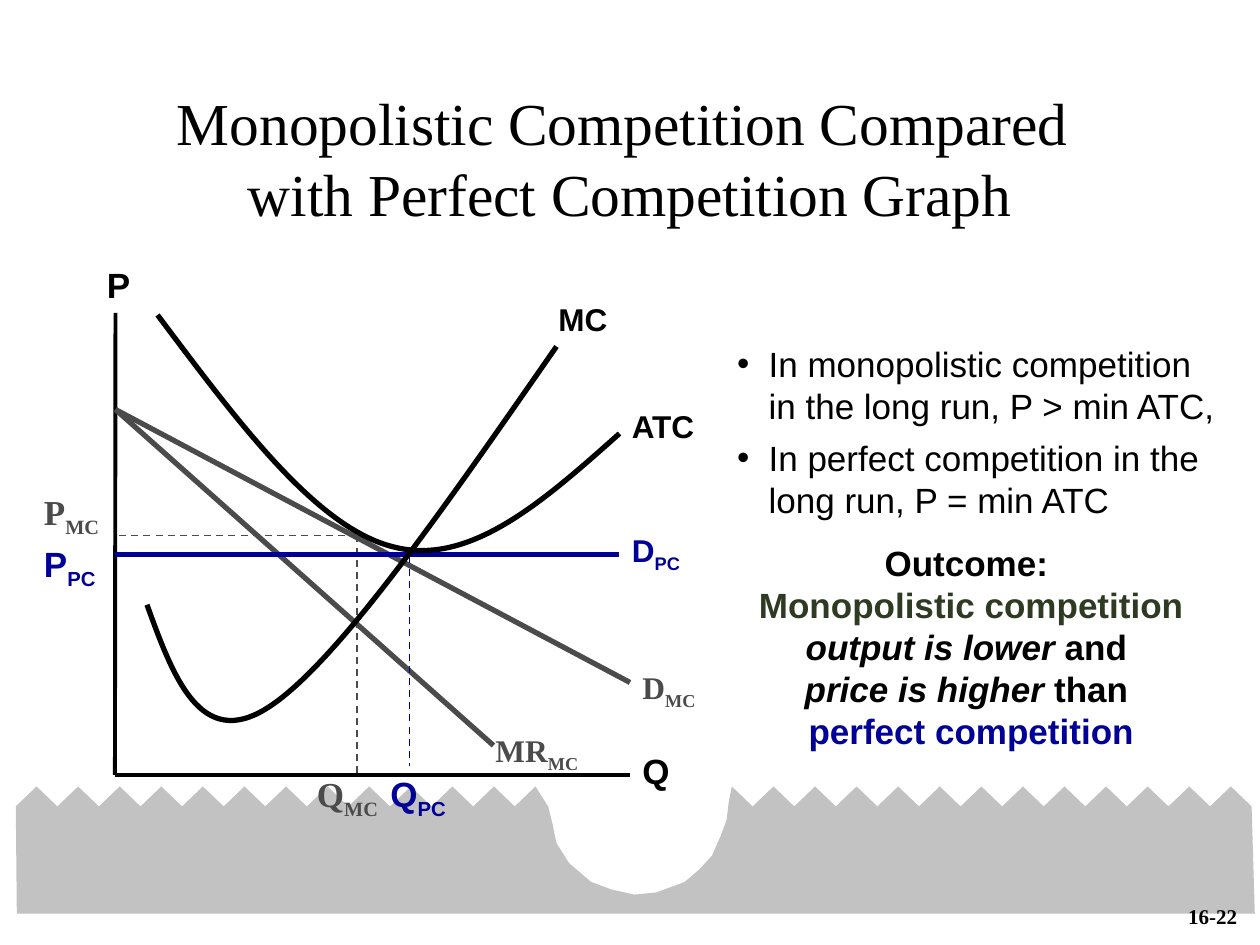
import pptx
import pptx.util
import pptx.dml.color
import pptx.enum.dml
import pptx.enum.shapes
import pptx.enum.text
import pptx.oxml
import pptx.oxml.ns
import pptx.oxml.xmlchemy

RGB = pptx.dml.color.RGBColor
BLACK = RGB(0x00, 0x00, 0x00)
GREY = RGB(0x4B, 0x4B, 0x4B)
NAVY = RGB(0x00, 0x00, 0x99)
OLIVE = RGB(0x2E, 0x3B, 0x22)
GROUND = RGB(0x86, 0x86, 0x86)
SANS, SERIF = "Arial", "Times New Roman"
ALIGN = pptx.enum.text.PP_ALIGN
ANCHOR = pptx.enum.text.MSO_ANCHOR
DASH = pptx.enum.dml.MSO_LINE.DASH
qn = pptx.oxml.ns.qn
new_element = pptx.oxml.xmlchemy.OxmlElement

prs = pptx.Presentation()
prs.slide_width, prs.slide_height = pptx.util.Inches(10), pptx.util.Inches(7.5)
U = prs.slide_width / 120  # grid of 120 columns by 90 rows


def grid(*cells):
    return [round(c * U) for c in cells]


def add_run(p, text, color, size, **values):
    r = p.add_run()
    r.text = text
    r.font.color.rgb = color
    for name, value in dict(values, size=pptx.util.Pt(size)).items():
        setattr(r.font, name, value)
    return r


s = prs.slides.add_slide(prs.slide_layouts[1])
title, body = s.placeholders

# Ground with a sawtooth edge and a basin
tooth, low, high = 1.98, 76.8, 74.9
left_edge = [(1.5 + tooth * i, high if i % 2 else low) for i in range(26)]
right_edge = [(69.7 + tooth * i, low if i % 2 else high) for i in range(26)]
basin = [(52.2, 76.8), (52.6, 78.4), (53, 80.3), (54.2, 82.2), (56.3, 84),
         (58.2, 84.7), (60.4, 85.2), (62.5, 85), (65.2, 84), (66.6, 82.8),
         (67.8, 81.5), (68.6, 79.7), (69.2, 78.1), (69.4, 76.4)]
corners = [(119.5, 87), (1.6, 87)]
outline = [grid(*point) for point in left_edge + basin + right_edge + corners]
fb = s.shapes.build_freeform(*outline[0])
fb.add_line_segments(outline[1:], close=True)
ground = fb.convert_to_shape()
ground.shadow.inherit = False
ground.fill.solid()
ground.fill.fore_color.rgb = GROUND
ground.line.fill.background()
alpha = new_element("a:alpha")
alpha.set("val", "50000")
ground._element.spPr.find(qn("a:solidFill"))[0].append(alpha)
s.shapes._spTree.insert(2, ground._element)

# Title and list
title.left, title.top, title.width, title.height = grid(6, 9, 108, 12)
tf = title.text_frame
tf.vertical_anchor = ANCHOR.MIDDLE
tf.auto_size = pptx.enum.text.MSO_AUTO_SIZE.NONE
p = tf.paragraphs[0]
p.alignment = ALIGN.CENTER
add_run(p, "Monopolistic Competition Compared ", BLACK, 34, name=SERIF)
p.add_line_break()
add_run(p, "with Perfect Competition Graph", BLACK, 34, name=SERIF)

body.left, body.top, body.width, body.height = grid(69, 32, 49, 22)
tf = body.text_frame
tf.auto_size = pptx.enum.text.MSO_AUTO_SIZE.NONE
points = ["In monopolistic competition in the long run, P > min ATC,",
          "In perfect competition in the long run, P = min ATC"]
for i, text in enumerate(points):
    p = tf.add_paragraph() if i else tf.paragraphs[0]
    pPr = p._p.get_or_add_pPr()
    pPr.set("marL", str(grid(3)[0]))
    pPr.set("indent", str(grid(-3)[0]))
    p.space_before = pptx.util.Pt(6 if i else 0)
    add_run(p, text, BLACK, 20, name=SANS)

# Outcome
sp = s.shapes.add_textbox(*grid(70, 51, 45, 21.2))
tf = sp.text_frame
tf.word_wrap = True
outcome = [
    [("Outcome: ", BLACK, False)],
    [("Monopolistic competition ", OLIVE, False),
     ("output is lower", BLACK, True), (" and ", BLACK, False)],
    [("price is higher ", BLACK, True), ("than ", BLACK, False)],
    [("perfect competition", NAVY, False)],
]
for i, runs in enumerate(outcome):
    p = tf.add_paragraph() if i else tf.paragraphs[0]
    p.alignment = ALIGN.CENTER
    for text, color, italic in runs:
        add_run(p, text, color, 20, name=SANS, bold=True, italic=italic)

# Axes, demand and revenue lines, guides: from, to, colour, width, dash
lines = [
    (11, 29.8, 10.95, 73.8, BLACK, 2.25, None),
    (11, 73.8, 60, 73.8, BLACK, 2.25, None),
    (11, 39, 60, 65, GREY, 3, None),
    (11, 39, 47, 71, GREY, 3, None),
    (34, 51, 11, 51, GREY, 1, DASH),
    (34, 51, 34, 74, GREY, 1, DASH),
    (11, 52.8, 59, 52.8, NAVY, 3, None),
    (39, 53, 39, 73, NAVY, 1, DASH),
]
for x1, y1, x2, y2, color, width, dash in lines:
    cxn = s.shapes.add_connector(
        pptx.enum.shapes.MSO_CONNECTOR.STRAIGHT, *grid(x1, y1, x2, y2))
    cxn.line.color.rgb = color
    cxn.line.width = pptx.util.Pt(width)
    if dash:
        cxn.line.dash_style = dash
    cxn._element.spPr.append(new_element("a:effectLst"))

# Cost curves: a start point, then Bezier triples
marginal_cost = [(14, 57.6), (16.5, 64.5), (19.1, 71.5), (25.5, 67.4),
                 (32, 63.3), (42.5, 48.1), (53, 33)]
average_cost = [(15, 30), (22.6, 40.1), (30.1, 50.3), (37.5, 52.1),
                (44.8, 54), (51.9, 47.6), (59, 41.3)]
for curve in (marginal_cost, average_cost):
    start, *controls = [grid(*point) for point in curve]
    fb = s.shapes.build_freeform(*start)
    fb.add_line_segments(controls, close=False)
    sp = fb.convert_to_shape()
    sp.shadow.inherit = False
    sp.fill.background()
    sp.line.color.rgb = BLACK
    sp.line.width = pptx.util.Pt(3)
    outline_path = sp._element.find(".//" + qn("a:path"))
    segments = outline_path.findall(qn("a:lnTo"))
    for i in range(0, len(segments), 3):
        bezier = new_element("a:cubicBezTo")
        for segment in segments[i:i + 3]:
            bezier.append(segment[0])
            outline_path.remove(segment)
        outline_path.append(bezier)

# Labels: column, row, width, height, text, subscript, size, font, colour, line pitch
labels = [
    (60, 70.8, 7, 5.3, "Q", "", 20, SANS, BLACK, None),
    (9, 25.8, 9, 3.8, "P", "", 20, SANS, BLACK, 16),
    (59, 38.2, 13, 4.8, "ATC", "", 18, SANS, BLACK, None),
    (52, 28, 10, 4.8, "MC", "", 18, SANS, BLACK, None),
    (29, 73, 12, 5.8, "Q", "MC", 20, SERIF, GREY, None),
    (60, 63, 9, 5.3, "D", "MC", 18, SERIF, GREY, None),
    (46, 69, 12, 5.3, "MR", "MC", 18, SERIF, GREY, None),
    (3, 48, 11, 3.8, "P", "MC", 20, SERIF, GREY, 16),
    (3, 51.1, 9, 5.8, "P", "PC", 20, SANS, NAVY, None),
    (59, 50, 9, 5.3, "D", "PC", 18, SANS, NAVY, None),
    (36, 73, 12, 5.8, "Q", "PC", 20, SANS, NAVY, None),
    (94, 83, 25, 6, "16-22", "", 12, SERIF, BLACK, None),
]
for x, y, w, h, text, sub, size, font, color, pitch in labels:
    tf = s.shapes.add_textbox(*grid(x, y, w, h)).text_frame
    tf.word_wrap = True
    p = tf.paragraphs[0]
    if pitch:
        p.line_spacing = pptx.util.Pt(pitch)
    add_run(p, text, color, size, name=font, bold=True)
    if sub:
        r = add_run(p, sub, color, size, name=font, bold=True)
        r._r.get_or_add_rPr().set("baseline", "-25000")

# The slide number is the last label
p.alignment = ALIGN.RIGHT
tf.vertical_anchor = ANCHOR.BOTTOM

prs.save("out.pptx")
